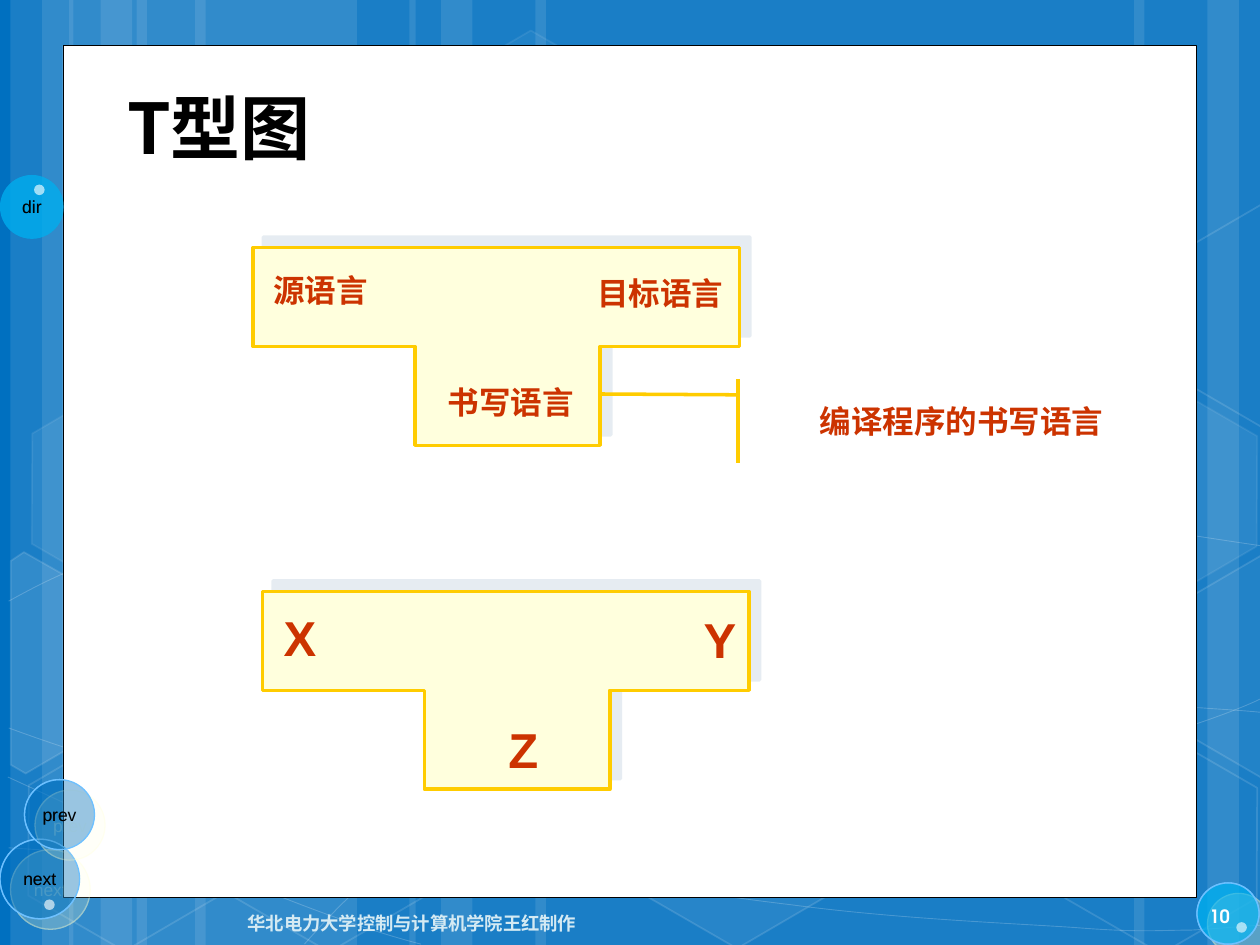
import math
import pptx
import pptx.dml.color
import pptx.enum.shapes
import pptx.enum.text
import pptx.oxml.ns
import pptx.util
from lxml import etree

Pt = pptx.util.Pt
RGB = pptx.dml.color.RGBColor
KIND = pptx.enum.shapes.MSO_SHAPE
ALIGN = pptx.enum.text.PP_ALIGN
MID = pptx.enum.text.MSO_ANCHOR.MIDDLE
FIT = pptx.enum.text.MSO_AUTO_SIZE.SHAPE_TO_FIT_TEXT
qn = pptx.oxml.ns.qn

BLUE = RGB(0x00, 0x70, 0xC0)
CYAN = RGB(0x00, 0xB0, 0xF0)
SKY = RGB(0x6D, 0xC0, 0xFF)
WHITE = RGB(0xFF, 0xFF, 0xFF)
BLACK = RGB(0, 0, 0)
CREAM = RGB(0xFF, 0xFF, 0xDD)
GOLD = RGB(0xFF, 0xCC, 0x00)
RED = RGB(0xCC, 0x33, 0x00)
PALE = RGB(0xD4, 0xEA, 0xF3)
SNOW = RGB(0xFE, 0xFE, 0xFE)
GLOW = RGB(0xFF, 0xFF, 0xCC)
MIST = RGB(0xCE, 0xDB, 0xE6)

HAN = "Noto Sans CJK SC"
HEAD = {"name": HAN, "size": Pt(40), "bold": True}
TERM = {"name": "Arial", "size": Pt(18), "bold": True}
SIGN = {"name": "Arial", "size": Pt(28), "bold": True}
KNOB = {"name": "Arial", "size": Pt(10), "bold": False}
FOOT = {"name": "TeX Gyre Adventor", "size": Pt(10.5), "bold": True}

BARS = [(78, 126), (6, 36), (24, 60), (111.5, 126), (39.5, 36), (57.5, 60),
        (528, 126), (690, 36), (648, 60), (306, 222), (234, 36), (252, 60)]

# Each curve: a start point, then three points per Bezier part
CURVES = [
    [(5, 484.5), (44, 487), (83, 489), (137, 488), (191, 487.5), (258, 486), (330, 479),
     (402, 471.5), (504, 458), (570, 444), (636, 430.5), (703.5, 409), (725, 397)],
    [(5, 343.5), (26, 332), (47, 321), (87, 310.5), (128, 299.5), (186.5, 283.5),
     (250, 278.5), (314, 273.5), (391.5, 273), (471, 278.5), (550, 284.5),
     (682, 306.5), (725, 312.5)],
    [(4.5, 444), (91.5, 484), (178, 523.5), (240.5, 539.5)],
    [(5, 416), (27, 424), (50, 432), (92, 443.5), (134, 454.5), (196.5, 472.5),
     (257, 484.5), (317, 497), (392.5, 510), (452, 517), (512, 525), (576, 527.5),
     (614, 530), (651.5, 533), (661.5, 531.5), (680.5, 531.5), (699, 530.5),
     (712, 529), (725, 528.5)],
    [(174, 539.5), (187, 525), (200, 510.5), (217.5, 497.5), (235.5, 484.5), (259, 470),
     (279.5, 460), (300, 450), (312, 445.5), (338, 438.5), (364, 431.5), (412.5, 421),
     (438, 416), (463.5, 411), (467.5, 411), (489.5, 409.5), (512, 407.5),
     (547, 405.5), (571.5, 404.5), (597, 404), (638, 404.5), (638, 404.5),
     (654, 404.5), (670, 404.5), (686, 404.5), (699, 405.5), (711, 406), (724.5, 407.5)],
]

# Left, top, fill alpha (0 for none), line alpha
HEXES = [(240.5, 26, 4, 8), (358, 424, 6, 12), (8, 425.5, 0, 12), (10, 224.5, 7, 8),
         (125, 426, 0, 12), (600.5, 427, 0, 12), (600.5, 226, 7, 8)]
LEFT = [(6, 320.5), (13.5, 315.5), (69, 347), (68.5, 410.5), (14.5, 442), (6, 437)]
RIGHT = [(666.5, 349), (720.5, 317.5), (726.5, 321), (726.5, 441.5),
         (721.5, 444.5), (666.5, 412.5)]
TEE = [(0, 0), (278, 0), (278, 56.5), (198.5, 56.5), (198.5, 113),
       (92.5, 113), (92.5, 56.5), (0, 56.5)]


def fade(fill, alpha):
    """Add transparency to a solid fill."""
    tint = fill._xPr.find(qn("a:solidFill"))[0]
    etree.SubElement(tint, qn("a:alpha")).set("val", str(alpha * 1000))


def paint(shape, fill=None, alpha=100, line=None, width=1, clear=100):
    """Set fill, line and their transparency."""
    shape.shadow.inherit = False
    for part, hue, level in ((shape.fill, fill, alpha), (shape.line.fill, line, clear)):
        if hue is None:
            part.background()
            continue
        part.solid()
        part.fore_color.rgb = hue
        if level < 100:
            fade(part, level)
    if line is not None:
        shape.line.width = Pt(width)
    return shape


def shade(shape, hue, alpha, angle):
    """Cast a hard shadow 8.5 points away."""
    effect = shape._element.spPr.find(qn("a:effectLst"))
    cast = etree.SubElement(effect, qn("a:outerShdw"), dist=str(Pt(8.5)),
                            dir=str(angle * 60000), algn="ctr", rotWithShape="0")
    tint = etree.SubElement(cast, qn("a:srgbClr"), val=str(hue))
    etree.SubElement(tint, qn("a:alpha"), val=str(alpha * 1000))


def form(slide, kind, box):
    return slide.shapes.add_shape(kind, *map(Pt, box))


def trace(slide, points, close=True):
    spots = [(Pt(x), Pt(y)) for x, y in points]
    pen = slide.shapes.build_freeform(*spots[0])
    pen.add_line_segments(spots[1:], close=close)
    return pen.convert_to_shape()


def curve(slide, knots):
    """Join each three line points into one Bezier part."""
    shape = trace(slide, knots, False)
    lines = list(shape._element.iter(qn("a:lnTo")))
    for i in range(0, len(lines), 3):
        part = etree.Element(qn("a:cubicBezTo"))
        lines[i].addprevious(part)
        for line in lines[i:i + 3]:
            part.append(line[0])
            line.getparent().remove(line)
    return shape


def tilt(slide, points, mid, angle=30):
    """Outline whose own frame is turned about its middle."""
    turn = math.radians(-angle)
    cos, sin = math.cos(turn), math.sin(turn)
    flat = [(mid[0] + (x - mid[0]) * cos - (y - mid[1]) * sin,
             mid[1] + (x - mid[0]) * sin + (y - mid[1]) * cos) for x, y in points]
    shape = trace(slide, flat)
    shape.rotation = angle
    return shape


def write(shape, text, style, hue, align=ALIGN.LEFT, **frame):
    """Fill a shape with one formatted line of text."""
    body = shape.text_frame
    for key, value in frame.items():
        setattr(body, key, value)
    line = body.paragraphs[0]
    line.alignment = align
    run = line.add_run()
    run.text = text
    for key, value in style.items():
        setattr(run.font, key, value)
    run.font.color.rgb = hue
    etree.SubElement(run._r.get_or_add_rPr(), qn("a:ea"), typeface=HAN)


def label(slide, box, *args, **frame):
    write(slide.shapes.add_textbox(*map(Pt, box)), *args, **frame)


def backdrop(slide):
    for left, width in BARS:
        paint(form(slide, KIND.RECTANGLE, (left, 0, width, 540)), WHITE, 10)
    for knots in CURVES:
        paint(curve(slide, knots), line=WHITE, width=0.5, clear=20)
    for left, top, alpha, clear in HEXES:
        cell = form(slide, KIND.HEXAGON, (left, top, 126, 109.5))
        cell.rotation = 30
        cell.adjustments[0] = 0.285
        paint(cell, WHITE if alpha else None, alpha, WHITE, 1, clear)
    upper = [(x, y - 200.5) for x, y in RIGHT]
    for points, mid, fill, alpha in ((LEFT, (26, 385), WHITE, 10),
                                     (RIGHT, (709, 374.5), WHITE, 4),
                                     (upper, (709, 174), None, 0)):
        paint(tilt(slide, points, mid), fill, alpha, WHITE, 1, 12)


def knobs(slide):
    """Round buttons with their small highlights."""
    for box, fill, alpha, edge, text in (
            ((684, 504.5, 35.5, 35), CYAN, 50, SKY, ""),
            ((0, 100, 36.5, 36.5), CYAN, 50, None, "dir"),
            ((0, 479.5, 45.5, 45.5), BLUE, 40, SKY, "next"),
            ((14, 445.5, 40, 40), BLUE, 40, SKY, "prev")):
        disc = paint(form(slide, KIND.OVAL, box), fill, alpha, edge, 0.75)
        if edge:
            shade(disc, GLOW, 30, 45)
        if text:
            write(disc, text, KNOB, BLACK, ALIGN.CENTER,
                  word_wrap=False, vertical_anchor=MID)
    for left, top in ((25.25, 514), (19.5, 105.5), (706.5, 527)):
        paint(form(slide, KIND.OVAL, (left, top, 6, 6)), WHITE, 50)


def tee(slide, left, top, style, *labels):
    """T-shaped block; each label has a box relative to the block."""
    block = trace(slide, [(left + x, top + y) for x, y in TEE])
    shade(paint(block, CREAM, line=GOLD, width=2), MIST, 50, 315)
    for text, (x, y, wide, high), align in labels:
        label(slide, (left + x, top + y, wide, high), text, style, RED, align,
              word_wrap=False, auto_size=FIT)


def main():
    deck = pptx.Presentation()
    deck.slide_width, deck.slide_height = Pt(720), Pt(540)
    slide = deck.slides.add_slide(deck.slide_layouts[5])
    slide.background.fill.solid()
    slide.background.fill.fore_color.rgb = BLUE

    # Backdrop, buttons below and above the white panel
    backdrop(slide)
    knobs(slide)
    paint(form(slide, KIND.RECTANGLE, (36, 26, 648, 487)), WHITE, line=BLACK, width=0.5)
    knobs(slide)

    # Title, raised above the panel
    title = slide.shapes.title
    title.left, title.top, title.width, title.height = map(Pt, (65.5, 32, 570, 68))
    write(title, "T型图", HEAD, BLACK,
          vertical_anchor=pptx.enum.text.MSO_ANCHOR.BOTTOM)
    slide.shapes._spTree.append(title._element)

    # Footer and page number
    label(slide, (68.5, 513.5, 268, 28.5), "华北电力大学控制与计算机学院王红制作", FOOT, PALE,
          ALIGN.RIGHT, word_wrap=True, vertical_anchor=MID)
    label(slide, (684, 509, 34, 28.5), "10", FOOT, SNOW,
          word_wrap=True, vertical_anchor=MID)

    # Named diagram with its callout
    tee(slide, 144.5, 141.5, TERM,
        ("源语言", (4.5, 10, 74, 31), ALIGN.LEFT),
        ("目标语言", (181.5, 11.5, 94.5, 31), ALIGN.RIGHT),
        ("书写语言", (96, 74, 94.5, 31), ALIGN.RIGHT))
    note = form(slide, KIND.LINE_CALLOUT_1_ACCENT_BAR, (428, 216.5, 209.5, 48))
    for i, value in enumerate((0.19, -0.03, 0.18, -0.41)):
        note.adjustments[i] = value
    paint(note, line=GOLD, width=2)
    write(note, "编译程序的书写语言", TERM, RED, ALIGN.RIGHT, vertical_anchor=MID)

    # Diagram with letters
    tee(slide, 150, 338, SIGN,
        ("X", (5, 5.5, 31, 41), ALIGN.LEFT),
        ("Y", (245, 7, 31, 41), ALIGN.RIGHT),
        ("Z", (133.5, 69.5, 31, 41), ALIGN.CENTER))
    deck.save("out.pptx")


if __name__ == "__main__":
    main()
